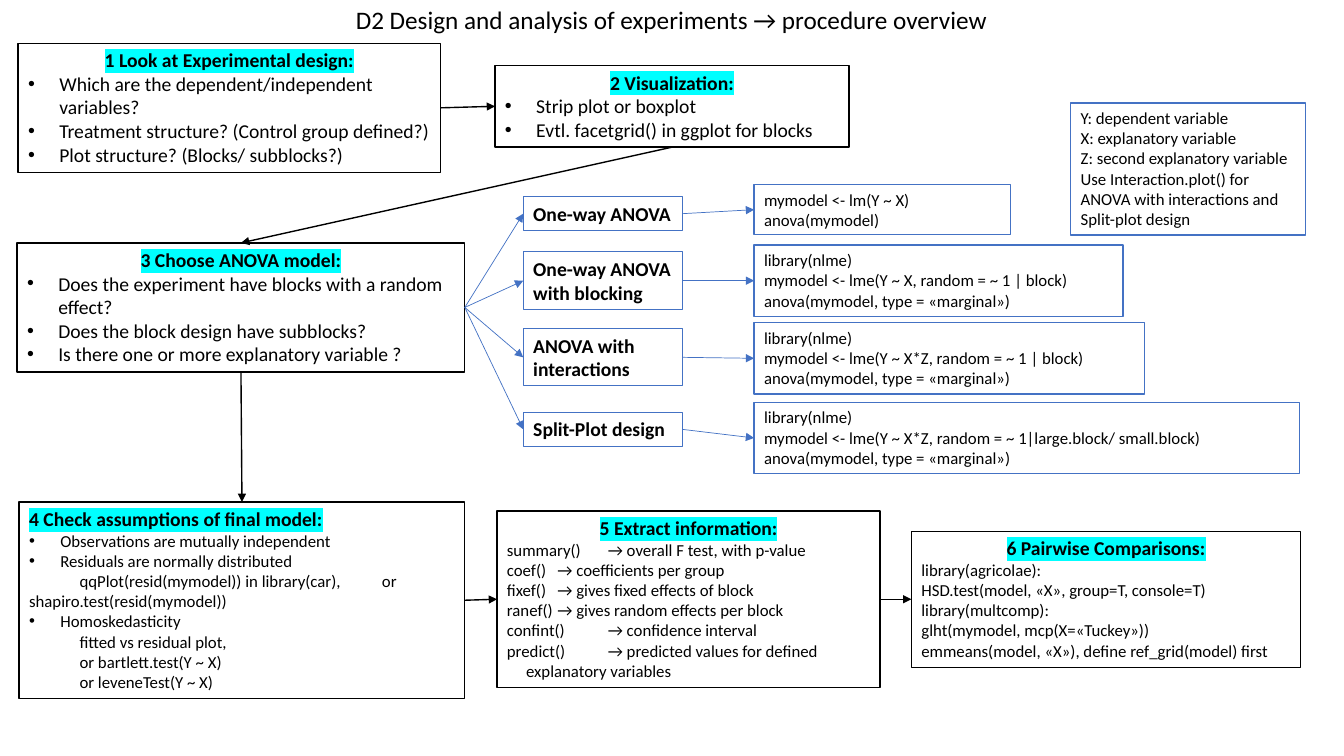
from lxml.etree import SubElement
from pptx import Presentation
from pptx.dml.color import RGBColor
from pptx.enum.shapes import MSO_CONNECTOR, MSO_SHAPE
from pptx.enum.text import MSO_ANCHOR, MSO_AUTO_SIZE, PP_ALIGN
from pptx.oxml.ns import qn
from pptx.util import Inches, Pt

BLACK = RGBColor(0x00, 0x00, 0x00)
WHITE = RGBColor(0xFF, 0xFF, 0xFF)
BLUE = RGBColor(0x44, 0x72, 0xC4)
CYAN = RGBColor(0x00, 0xFF, 0xFF)
FONT = "Calibri"
TOP, LEFT, BOTTOM, RIGHT = range(4)  # connection sites of a rectangle
BULLET, HANGING = "* ", "> "  # paragraph markers in the content below

TITLE = "D2 Design and analysis of experiments → procedure overview"

# name: (left, top, width, height), heading, heading alignment, body size, body
STEPS = {
    "design": ((0.18, 0.43, 4.19, 1.28), "1 Look at Experimental design:",
               PP_ALIGN.CENTER, 14, [
        "* Which are the dependent/independent variables?",
        "* Treatment structure? (Control group defined?)",
        "* Plot structure? (Blocks/ subblocks?)"]),
    "visualization": ((4.91, 0.65, 3.51, 0.81), "2 Visualization:",
                      PP_ALIGN.CENTER, 14, [
        "* Strip plot or boxplot",
        "* Evtl. facetgrid() in ggplot for blocks"]),
    "model": ((0.17, 2.41, 4.44, 1.28), "3 Choose ANOVA model:",
              PP_ALIGN.CENTER, 14, [
        "* Does the experiment have blocks with a random effect?",
        "* Does the block design have subblocks?",
        "* Is there one or more explanatory variable ?"]),
    "assumptions": ((0.19, 4.98, 4.42, 1.95), "4 Check assumptions of final model:",
                    PP_ALIGN.LEFT, 12, [
        "* Observations are mutually independent",
        "* Residuals are normally distributed",
        "\tqqPlot(resid(mymodel)) in library(car), \tor shapiro.test(resid(mymodel))",
        "* Homoskedasticity",
        "\tfitted vs residual plot,",
        "\tor bartlett.test(Y ~ X)",
        "\tor leveneTest(Y ~ X)"]),
    "information": ((4.93, 5.07, 3.8, 1.75), "5 Extract information:",
                    PP_ALIGN.CENTER, 12, [
        "summary()\t→ overall F test, with p-value",
        "coef()\t→ coefficients per group",
        "fixef()\t→ gives fixed effects of block",
        "ranef()\t→ gives random effects per block",
        "confint()\t→ confidence interval",
        "predict()\t→ predicted values for defined",
        "> explanatory variables"]),
    "comparisons": ((9.04, 5.27, 3.86, 1.35), "6 Pairwise Comparisons:",
                    PP_ALIGN.CENTER, 12, [
        "library(agricolae):",
        "HSD.test(model, «X», group=T, console=T)",
        "library(multcomp):",
        "glht(mymodel, mcp(X=«Tuckey»))",
        "emmeans(model, «X»), define ref_grid(model) first"]),
}
STEP_ARROWS = [
    ("design", RIGHT, "visualization", LEFT),
    ("visualization", BOTTOM, "model", TOP),
    ("model", BOTTOM, "assumptions", TOP),
    ("assumptions", RIGHT, "information", LEFT),
    ("information", RIGHT, "comparisons", LEFT),
]

LABEL_LEFT, LABEL_WIDTH, CODE_LEFT = 5.19, 1.58, 7.48
MARGINAL = "anova(mymodel, type = «marginal»)"
# label lines, label (top, height), code lines, code (top, width, height)
MODELS = [
    (["One-way ANOVA"], (1.95, 0.34),
     ["mymodel <- lm(Y ~ X)", "anova(mymodel)"], (1.83, 2.54, 0.5)),
    (["One-way ANOVA", "with blocking"], (2.5, 0.57),
     ["library(nlme)", "mymodel <- lme(Y ~ X, random = ~ 1 | block)", MARGINAL],
     (2.43, 3.66, 0.71)),
    (["ANOVA with", "interactions"], (3.26, 0.57),
     ["library(nlme)", "mymodel <- lme(Y ~ X*Z, random = ~ 1 | block)", MARGINAL],
     (3.2, 3.87, 0.71)),
    (["Split-Plot design"], (4.09, 0.34),
     ["library(nlme)",
      "mymodel <- lme(Y ~ X*Z, random = ~ 1|large.block/ small.block)", MARGINAL],
     (3.99, 5.41, 0.71)),
]
LEGEND_AT = (10.62, 1.02, 2.33, 1.31)
LEGEND = [
    "Y: dependent variable",
    "X: explanatory variable",
    "Z: second explanatory variable",
    "Use Interaction.plot() for ANOVA with interactions and Split-plot design",
]


def add_run(p, text, size, bold=False, highlight=None):
    """Add one formatted run to a paragraph."""
    r = p.add_run()
    r.text = text
    r.font.size, r.font.bold, r.font.name = Pt(size), bold, FONT
    r.font.color.rgb = BLACK
    if highlight is not None:
        rPr = r.font._element
        mark = SubElement(rPr, qn("a:highlight"))
        SubElement(mark, qn("a:srgbClr"), val=str(highlight))
        rPr.find(qn("a:latin")).addprevious(mark)


def format_paragraph(p, left=0, first=0, bullet=False):
    """Set the indents, the bullet and one-inch tab stops."""
    pPr = p._p.get_or_add_pPr()
    pPr.set("marL", str(Inches(left)))
    pPr.set("indent", str(Inches(first)))
    if bullet:
        SubElement(pPr, qn("a:buFont"), typeface="Arial")
        SubElement(pPr, qn("a:buChar"), char="•")
    tabs = SubElement(pPr, qn("a:tabLst"))
    for stop in range(1, 5):
        SubElement(tabs, qn("a:tab"), pos=str(Inches(stop)), algn="l")


def add_box(s, at, lines, size, color, width=1, fill=WHITE, bold=False,
            heading=None, align=PP_ALIGN.LEFT):
    """Add an outlined box with an optional highlighted heading."""
    box = s.shapes.add_shape(MSO_SHAPE.RECTANGLE, *map(Inches, at))
    box.shadow.inherit = False
    box.line.color.rgb, box.line.width = color, Pt(width)
    if fill is None:
        box.fill.background()
    else:
        box.fill.solid()
        box.fill.fore_color.rgb = fill
    tf = box.text_frame
    tf.word_wrap, tf.vertical_anchor = True, MSO_ANCHOR.TOP
    tf.auto_size = MSO_AUTO_SIZE.SHAPE_TO_FIT_TEXT
    p = tf.paragraphs[0]
    if heading:
        p.alignment = align
        add_run(p, heading, 14, True, CYAN)
        p = tf.add_paragraph()
    for i, line in enumerate(lines):
        p = tf.add_paragraph() if i else p
        p.alignment = PP_ALIGN.LEFT
        if line.startswith(BULLET):
            format_paragraph(p, 0.31, -0.31, bullet=True)
        elif line.startswith(HANGING):
            format_paragraph(p, 0.19)
        else:
            format_paragraph(p)
        add_run(p, line.removeprefix(BULLET).removeprefix(HANGING), size, bold)
    return box


def add_arrow(s, start, start_site, end, end_site, color, width):
    """Join two boxes with a straight arrow."""
    line = s.shapes.add_connector(MSO_CONNECTOR.STRAIGHT, 0, 0, 0, 0)
    line.begin_connect(start, start_site)
    line.end_connect(end, end_site)
    line.line.color.rgb, line.line.width = color, Pt(width)
    SubElement(line.line._get_or_add_ln(), qn("a:tailEnd"), type="triangle")
    SubElement(line._element.spPr, qn("a:effectLst"))


prs = Presentation()
prs.slide_width, prs.slide_height = Inches(13.33), Inches(7.5)
s = prs.slides.add_slide(prs.slide_layouts[5])

title = s.shapes.title
title.left, title.top, title.width, title.height = map(Inches, (3.38, -0.01, 6.56, 0.4))
tf = title.text_frame
tf.word_wrap, tf.auto_size = True, MSO_AUTO_SIZE.NONE
tf.vertical_anchor = MSO_ANCHOR.MIDDLE
tf.paragraphs[0].alignment = PP_ALIGN.CENTER
add_run(tf.paragraphs[0], TITLE, 18)

steps = {name: add_box(s, at, body, size, BLACK, heading=heading, align=align)
         for name, (at, heading, align, size, body) in STEPS.items()}
for start, start_site, end, end_site in STEP_ARROWS:
    add_arrow(s, steps[start], start_site, steps[end], end_site, BLACK, 1)

for label, (top, height), code, code_at in MODELS:
    label_box = add_box(s, (LABEL_LEFT, top, LABEL_WIDTH, height), label, 14, BLUE,
                        width=0.75, fill=None, bold=True)
    code_box = add_box(s, (CODE_LEFT, *code_at), code, 12, BLUE)
    add_arrow(s, steps["model"], RIGHT, label_box, LEFT, BLUE, 0.5)
    add_arrow(s, label_box, RIGHT, code_box, LEFT, BLUE, 0.5)

add_box(s, LEGEND_AT, LEGEND, 12, BLUE)

prs.save("out.pptx")
